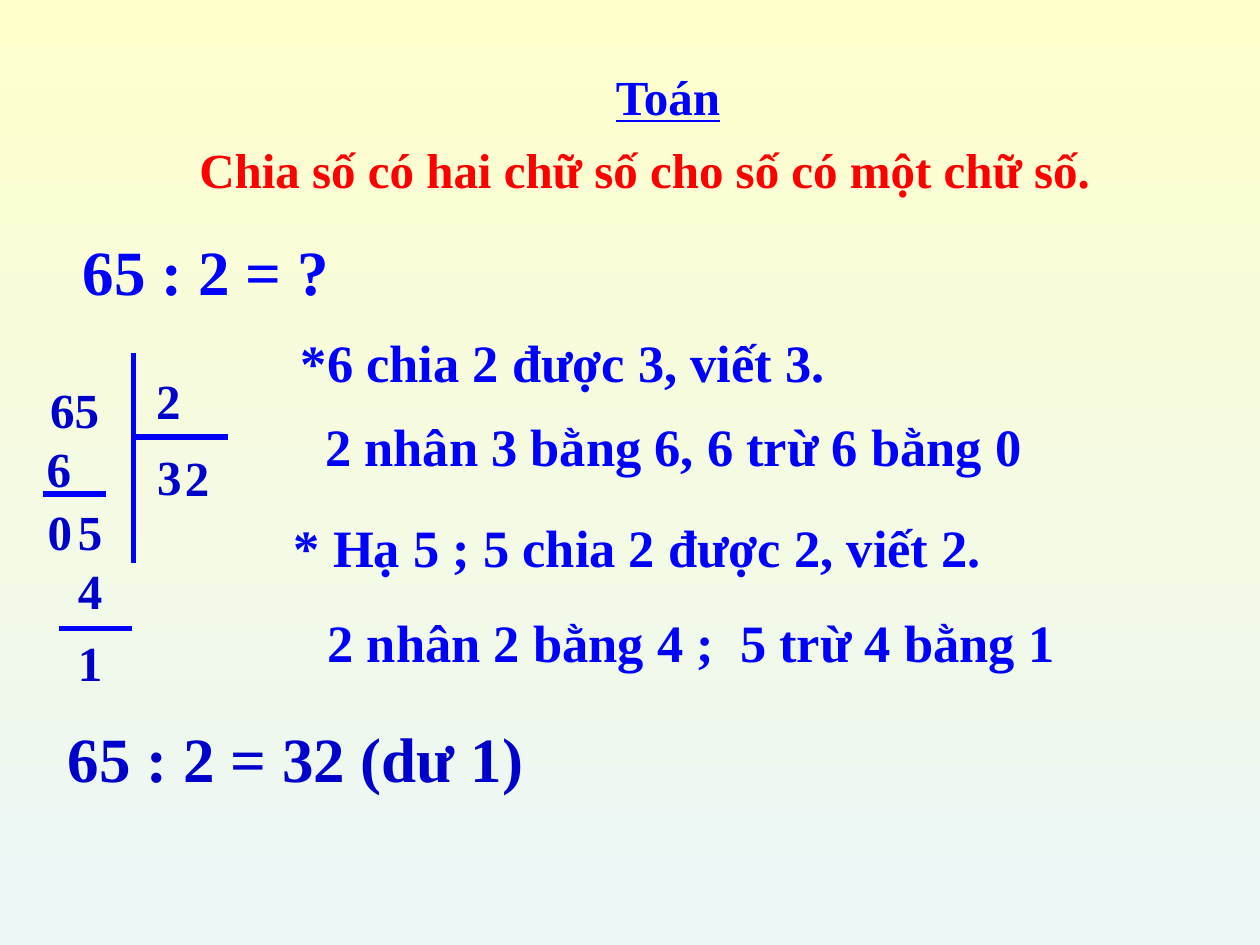
from dataclasses import dataclass
from typing import NamedTuple

from lxml.etree import SubElement
from pptx import Presentation
from pptx.dml.color import RGBColor
from pptx.enum.text import MSO_ANCHOR, MSO_AUTO_SIZE, PP_ALIGN
from pptx.oxml.ns import qn
from pptx.util import Cm, Pt


@dataclass(frozen=True)
class Theme:
    font: str = "Times New Roman"
    blue: str = "0000FF"
    dark_blue: str = "0000CC"
    red: str = "FF0000"
    background_top: str = "FFFFCC"
    background_bottom: str = "EBF6F7"
    title_size: int = 28
    digit_size: int = 28
    step_size: int = 30
    equation_size: int = 36
    rule_width: int = 3


class Area(NamedTuple):
    left: float
    top: float
    width: float
    height: float


class Digits(NamedTuple):
    text: str
    left: float
    top: float
    width: float = 1.07


class Rule(NamedTuple):
    start: tuple[float, float]
    end: tuple[float, float]


class Step(NamedTuple):
    text: str
    indent: float
    space_before: float


THEME = Theme()
DIGIT_HEIGHT = 1.45
UNITS_LEFT = 1.32
BAR_LEFT = 2.69

DIVISION = [
    Digits("65", 0.76, 7.52, 1.9),
    Digits("6", 0.69, 8.71),
    Digits("0", 0.71, 9.98, 0.84),
    Digits("5", UNITS_LEFT, 9.98),
    Digits("4", UNITS_LEFT, 11.18),
    Digits("1", UNITS_LEFT, 12.62),
    Digits("2", 2.9, 7.34),
    Digits("3", 2.92, 8.87),
    Digits("2", 3.48, 8.89),
]
RULES = [
    Rule((BAR_LEFT, 7.11), (BAR_LEFT, 11.35)),
    Rule((BAR_LEFT, 8.81), (4.6, 8.81)),
    Rule((0.86, 9.96), (2.13, 9.96)),
    Rule((1.19, 12.67), (2.67, 12.67)),
]
STEPS = [
    Step("*6 chia 2 được 3, viết 3.", 0.4, 0),
    Step("2 nhân 3 bằng 6, 6 trừ 6 bằng 0", 0.89, 11.6),
    Step("* Hạ 5 ; 5 chia 2 được 2, viết 2.", 0.26, 21.7),
    Step("2 nhân 2 bằng 4 ;  5 trừ 4 bằng 1", 0.94, 18.8),
]


def write(para, text: str, *, size: int, color: str, underline: bool = False,
          align=PP_ALIGN.LEFT, space_before: float = 0) -> None:
    para.alignment = align
    para.space_before = Pt(space_before)
    span = para.add_run()
    span.text = text
    span.font.name = THEME.font
    span.font.size = Pt(size)
    span.font.bold = True
    span.font.underline = underline
    span.font.color.rgb = RGBColor.from_string(color)


def place(box, area: Area) -> None:
    """Move a text shape to its area and let its text start at the top."""
    box.left, box.top, box.width, box.height = map(Cm, area)
    frame = box.text_frame
    frame.word_wrap = True
    frame.auto_size = MSO_AUTO_SIZE.NONE
    frame.vertical_anchor = MSO_ANCHOR.TOP


def add_text(page, text: str, area: Area, **style) -> None:
    box = page.shapes.add_textbox(0, 0, 0, 0)
    place(box, area)
    write(box.text_frame.paragraphs[0], text, **style)


def add_rule(page, rule: Rule) -> None:
    line = page.shapes.add_connector(1, *map(Cm, rule.start + rule.end))
    line.line.color.rgb = RGBColor.from_string(THEME.blue)
    line.line.width = Pt(THEME.rule_width)
    SubElement(line._element.spPr, qn("a:effectLst"))


def fill_steps(box, steps: list[Step]) -> None:
    frame = box.text_frame
    for index, step in enumerate(steps):
        para = frame.add_paragraph() if index else frame.paragraphs[0]
        write(para, step.text, size=THEME.step_size, color=THEME.blue,
              space_before=step.space_before)
        properties = para._p.get_or_add_pPr()
        properties.set("marL", str(Cm(step.indent)))
        properties.set("indent", "0")
        SubElement(properties, qn("a:buNone"))


def paint_background(page) -> None:
    fill = page.background.fill
    fill.gradient()
    fill.gradient_angle = 270
    colors = (THEME.background_top, THEME.background_bottom)
    for stop, color in zip(fill.gradient_stops, colors):
        stop.color.rgb = RGBColor.from_string(color)


def main() -> None:
    deck = Presentation()
    deck.slide_width, deck.slide_height = Cm(25.4), Cm(19.05)
    page = deck.slides.add_slide(deck.slide_layouts[1])
    paint_background(page)

    title, body = page.placeholders
    place(title, Area(3.43, 2.69, 19.13, 1.45))
    write(title.text_frame.paragraphs[0],
          "Chia số có hai chữ số cho số có một chữ số.",
          size=THEME.title_size, color=THEME.red, align=PP_ALIGN.CENTER)
    place(body, Area(5.41, 6.53, 19.35, 7.01))
    fill_steps(body, STEPS)

    add_text(page, "Toán", Area(11.46, 1.22, 4.01, 1.45), size=THEME.title_size,
             color=THEME.blue, underline=True, align=PP_ALIGN.CENTER)
    add_text(page, "65 : 2 = ?", Area(1.42, 4.57, 6.15, 1.78),
             size=THEME.equation_size, color=THEME.blue)
    add_text(page, "65 : 2 = 32 (dư 1)", Area(1.12, 14.38, 9.88, 1.78),
             size=THEME.equation_size, color=THEME.dark_blue)

    for digits in DIVISION:
        area = Area(digits.left, digits.top, digits.width, DIGIT_HEIGHT)
        add_text(page, digits.text, area, size=THEME.digit_size,
                 color=THEME.dark_blue)
    for rule in RULES:
        add_rule(page, rule)

    deck.save("out.pptx")


if __name__ == "__main__":
    main()
